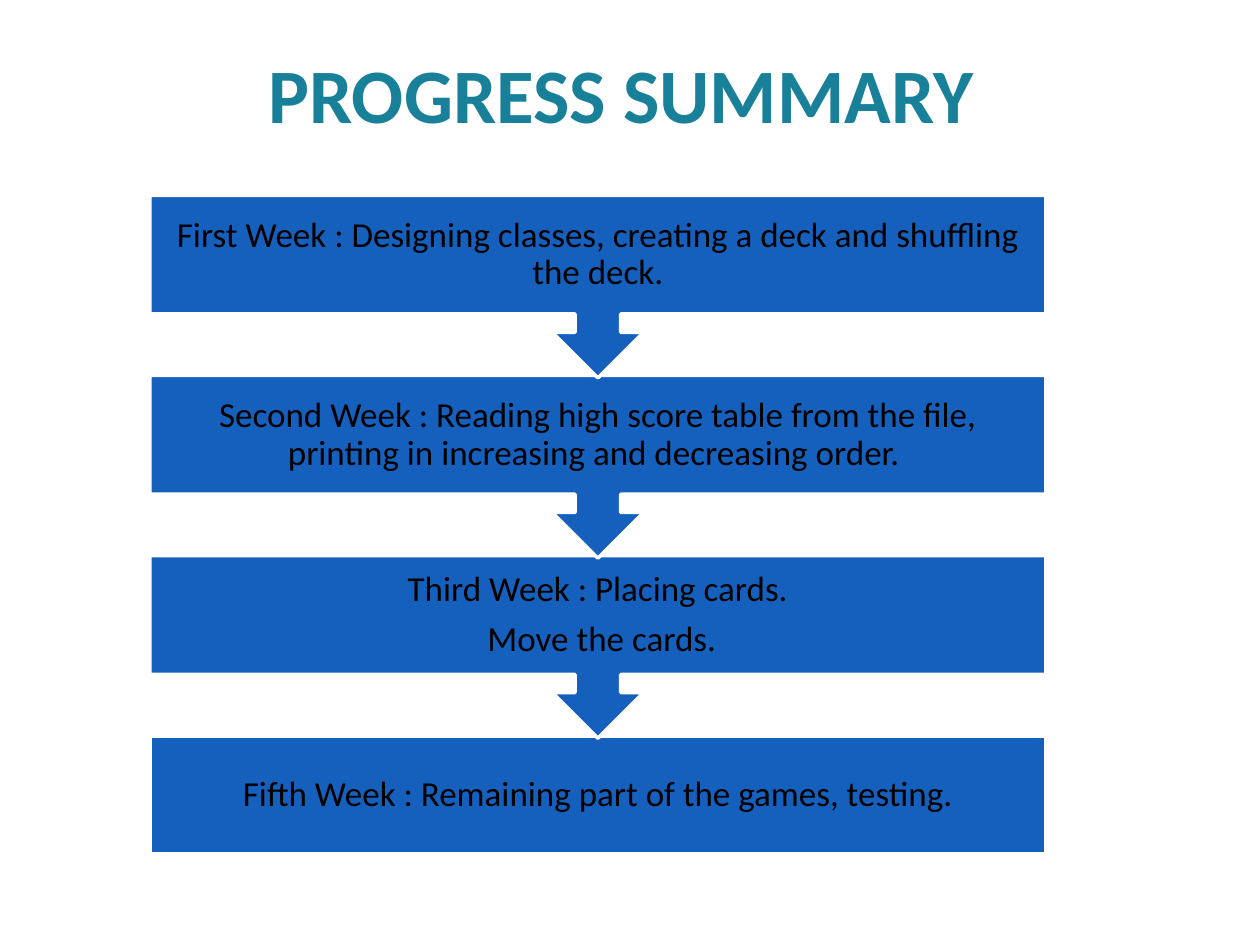
from pptx import Presentation
from pptx.dml.color import RGBColor
from pptx.enum.shapes import MSO_SHAPE
from pptx.enum.text import MSO_ANCHOR, PP_ALIGN
from pptx.util import Inches, Pt

WEEKS = [
    ["First Week : Designing classes, creating a deck and shuffling the deck."],
    ["Second Week : Reading high score table from the file, "
     "printing in increasing and decreasing order. "],
    ["Third Week : Placing cards.", " Move the cards."],
    ["Fifth Week : Remaining part of the games, testing."],
]
BODY = 0.94  # height of a week's box
STEP = 1.43  # from one box to the next
CALL = 1.45  # box and arrow together


def color(code):
    return RGBColor.from_string(code)


def write(shape, lines, size=20, code="000000", bold=False,
          pad=0.1, space=None, after=0):
    """Fill a shape with centred paragraphs, one for each line."""
    frame = shape.text_frame
    frame.word_wrap = True
    frame.vertical_anchor = MSO_ANCHOR.MIDDLE
    frame.margin_left = frame.margin_right = Inches(pad)
    frame.margin_top = frame.margin_bottom = Inches(pad)
    frame.text = "\n".join(lines)
    for para in frame.paragraphs:
        para.alignment = PP_ALIGN.CENTER
        para.line_spacing = space
        para.space_after = Pt(after)
        font = para.runs[0].font
        font.name, font.size, font.bold = "Calibri", Pt(size), bold
        font.color.rgb = color(code)


def head(slide, text, left, top, width, height):
    title = slide.shapes.title
    title.left, title.top = Inches(left), Inches(top)
    title.width, title.height = Inches(width), Inches(height)
    write(title, [text], size=44, code="19809A", bold=True)


def flow(slide, weeks, left, top, width):
    """Stack the weeks downward; each but the last points to the next."""
    last = len(weeks) - 1
    # The lowest box goes first, so that each arrow tip lies on top.
    for row in range(last, -1, -1):
        if row == last:
            kind, height = MSO_SHAPE.RECTANGLE, BODY
        else:
            kind, height = MSO_SHAPE.DOWN_ARROW_CALLOUT, CALL
        box = slide.shapes.add_shape(
            kind, Inches(left), Inches(top + row * STEP),
            Inches(width), Inches(height))
        box.shadow.inherit = False
        box.fill.solid()
        box.fill.fore_color.rgb = color("1560BD")
        box.line.color.rgb = color("FFFFFF")
        box.line.width = Pt(2)
        write(box, weeks[row], pad=0.16, space=0.9, after=7)


def main():
    deck = Presentation()
    deck.slide_width, deck.slide_height = Inches(10), Inches(7.5)
    slide = deck.slides.add_slide(deck.slide_layouts[5])
    head(slide, "PROGRESS SUMMARY", 0.43, 0.11, 9, 1.25)
    flow(slide, WEEKS, 1.19, 1.55, 7.11)
    deck.save("out.pptx")


if __name__ == "__main__":
    main()
